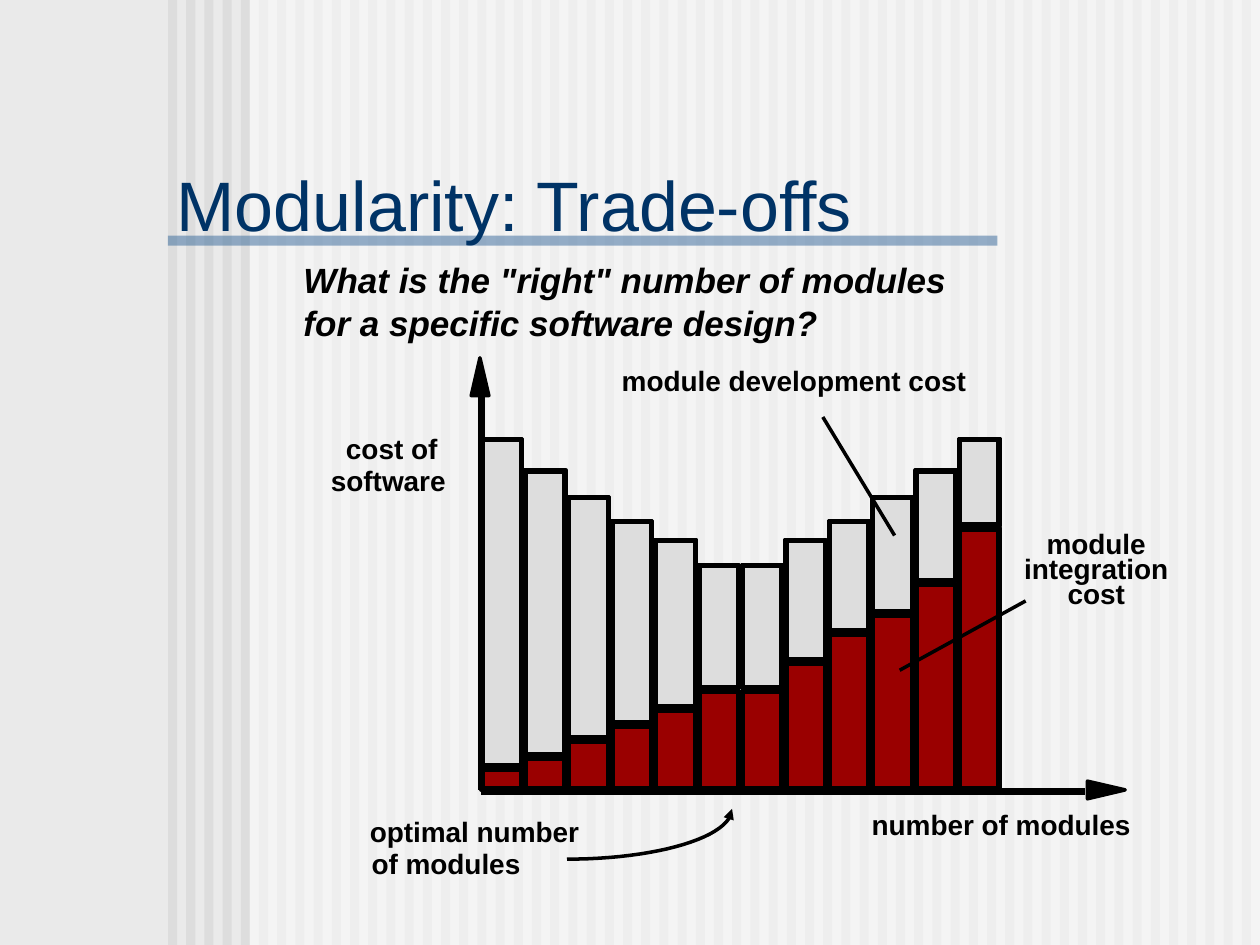
from math import cos, sin, pi
from lxml.etree import SubElement
from pptx import Presentation
from pptx.dml.color import RGBColor
from pptx.enum.shapes import MSO_CONNECTOR as CONN, MSO_SHAPE as SHAPE
from pptx.enum.text import MSO_ANCHOR as ANCHOR, PP_ALIGN as ALIGN
from pptx.oxml.ns import qn
from pptx.util import Pt

# Content
C = {"bg": "EAEAEA", "stripe": "DDDDDD", "veil": "FFFFFF", "rule": "336699",
     "title": "003366", "ink": "000000", "develop": "DDDDDD", "integrate": "9A0000"}
FONT = "Arial"
TITLE = "Modularity: Trade-offs"
QUESTION = [  # text, left, top, width, height
    ('What is the "right" number of modules', 166.3, 144, 387.4, 31),
    ("for a specific software design?", 166.3, 168.8, 320, 31),
]
LABELS = [
    ("optimal number", 204.2, 461.8, 140, 26),
    ("of modules", 205.2, 480.3, 110, 26),
    ("cost of", 190.6, 243, 76, 26),
    ("software", 182, 261.4, 86, 26),
    ("number of modules", 491, 457.9, 170, 26),
    ("module development cost", 348.2, 204.2, 222, 26),
]
INTEGRATION = ["module", "integration", "cost"]
# Top of each whole bar and of its integration part
FALLING = [250.6, 268.6, 283.7, 297.4, 308.2, 322.6]
TOTAL_TOPS = FALLING + FALLING[::-1]
INTEGRATION_TOPS = [439.2, 432.7, 423.4, 414.7, 405.4, 394.6,
                    394.6, 378.7, 362.2, 351.4, 333.4, 301.7]
BAR_X, BAR_PITCH, BAR_W, BASE = 275, 24.8, 23.6, 451.4
LINES = [  # x1, y1, x2, y2, width: axes, then leaders
    (275, 452.2, 620, 452.2, 4),
    (275, 451.4, 275, 225.4, 4),
    (470.2, 238.3, 511.2, 306, 2),
    (586.1, 343.4, 514.1, 383, 2),
]
AXIS_HEADS = [
    [(643, 451.4), (621.4, 456.5), (621.4, 446.4)],
    [(274.3, 204.5), (279.4, 226.1), (269.3, 226.1)],
]

prs = Presentation()
prs.slide_width, prs.slide_height = Pt(720), Pt(540)
s = prs.slides.add_slide(prs.slide_layouts[5])


def rgb(name):
    return RGBColor.from_string(C[name])


def outline(shape, width):
    shape.line.color.rgb = rgb("ink")
    shape.line.width = Pt(width)


def rect(x, y, w, h, fill=None, line=None, alpha=None):
    sp = s.shapes.add_shape(SHAPE.RECTANGLE, Pt(x), Pt(y), Pt(w), Pt(h))
    sp.shadow.inherit = False
    if fill:
        sp.fill.solid()
        sp.fill.fore_color.rgb = rgb(fill)
    else:
        sp.fill.background()
    if line:
        outline(sp, line)
    else:
        sp.line.fill.background()
    if alpha:
        color = sp._element.spPr.find(qn("a:solidFill"))[0]
        SubElement(color, qn("a:alpha"), val=str(alpha * 1000))


def freeform(points, close):
    (x, y), *rest = points
    fb = s.shapes.build_freeform(Pt(x), Pt(y))
    fb.add_line_segments([(Pt(px), Pt(py)) for px, py in rest], close=close)
    sp = fb.convert_to_shape()
    sp.shadow.inherit = False
    outline(sp, 2)
    return sp


def label(lines, x, y, w, h, size=16, italic=False, align=ALIGN.LEFT, spacing=1.0):
    tf = s.shapes.add_textbox(Pt(x), Pt(y), Pt(w), Pt(h)).text_frame
    tf.word_wrap = True
    tf.text = "\n".join(lines)
    for p in tf.paragraphs:
        p.alignment, p.line_spacing = align, spacing
        f = p.font
        f.name, f.size, f.bold, f.italic = FONT, Pt(size), True, italic
        f.color.rgb = rgb("ink")


# Striped background
s.background.fill.solid()
s.background.fill.fore_color.rgb = rgb("bg")
for i in range(60):
    rect(96 + 10.4 * i, 0, 5.2, 540, "stripe")
rect(142.6, 0, 577.4, 540, "veil", alpha=50)
rect(96, 134.6, 474, 5.8, "rule", alpha=50)

# Title, brought in front of the background
title = s.shapes.title
s.shapes._spTree.append(title._element)
title.left, title.top, title.width, title.height = Pt(96), Pt(90.4), Pt(399), Pt(52)
tf = title.text_frame
tf.margin_left = tf.margin_right = Pt(5)
tf.margin_top = tf.margin_bottom = Pt(2)
tf.vertical_anchor = ANCHOR.BOTTOM
tf.text = TITLE
p = tf.paragraphs[0]
p.alignment = ALIGN.LEFT
p.font.name, p.font.size = FONT, Pt(40)
p.font.color.rgb = rgb("title")

for text, *box in QUESTION:
    label([text], *box, size=20, italic=True)

# Bars: each part is a filled face inside a frame
for i, (top, split) in enumerate(zip(TOTAL_TOPS, INTEGRATION_TOPS)):
    x = BAR_X + BAR_PITCH * i
    for y, bottom, fill in ((split, BASE, "integrate"), (top, split - 1.2, "develop")):
        rect(x + 1, y + 1, BAR_W - 2, bottom - y - 2, fill, line=2)
        rect(x, y, BAR_W, bottom - y, line=2)

# Axes and leader lines
for x1, y1, x2, y2, width in LINES:
    ln = s.shapes.add_connector(CONN.STRAIGHT, Pt(x1), Pt(y1), Pt(x2), Pt(y2))
    outline(ln, width)
    SubElement(ln._element.spPr, qn("a:effectLst"))
for points in AXIS_HEADS:
    head = freeform(points, True)
    head.fill.solid()
    head.fill.fore_color.rgb = rgb("ink")

# Curved arrow to the optimum: a quarter ellipse
STEPS = 24
curve = [(324 + 94.3 * cos(pi / 2 * k / STEPS), 462.2 + 28.8 * sin(pi / 2 * k / STEPS))
         for k in range(STEPS + 1)]
arrow = freeform(curve, False)
arrow.fill.background()
SubElement(arrow.line._get_or_add_ln(), qn("a:headEnd"), type="triangle")

# Labels
for text, *box in LABELS:
    label([text], *box)
label(INTEGRATION, 571.4, 301.7, 110, 50.4, align=ALIGN.CENTER, spacing=0.75)

prs.save("out.pptx")
